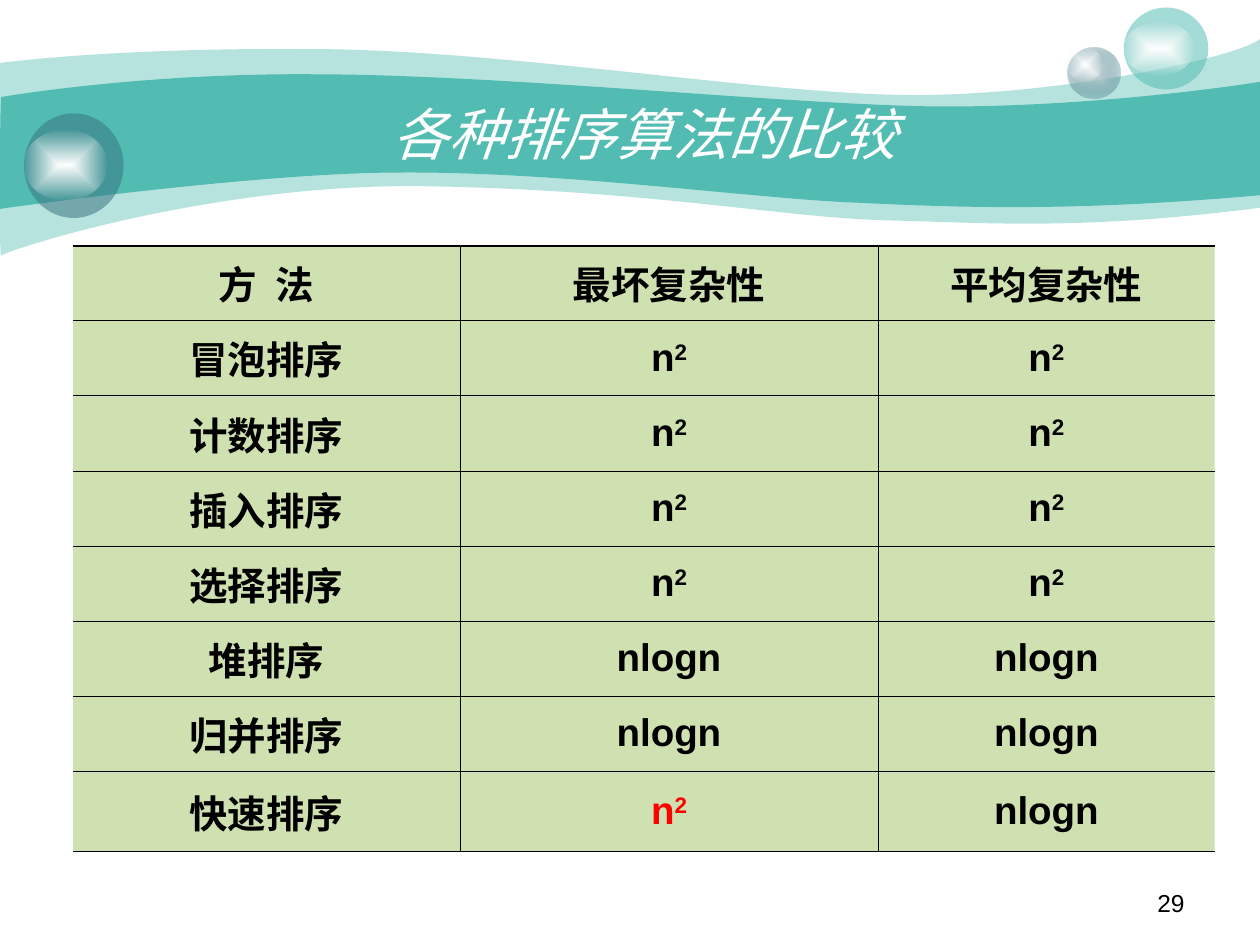
from lxml.etree import SubElement
from pptx import Presentation
from pptx.dml.color import RGBColor
from pptx.enum.shapes import MSO_SHAPE
from pptx.enum.text import MSO_ANCHOR, PP_ALIGN
from pptx.oxml.ns import qn
from pptx.util import Inches, Pt

THEME = {
    "font": "Arial", "teal": "52BCB2", "slate": "37737F", "silver": "CCDBDE",
    "white": "FFFFFF", "black": "000000", "red": "FF0000", "cell": "A0C264",
    "title": 32, "body": 22, "number": 14, "thin": 0.45, "thick": 1.08,
}


def add_fill(parent, *stops):
    kind = "a:solidFill" if len(stops) == 1 else "a:gradFill"
    fill = SubElement(parent, qn(kind))
    holders = [fill]
    if len(stops) > 1:
        stop_list = SubElement(fill, qn("a:gsLst"))
        holders = [SubElement(stop_list, qn("a:gs"), pos=pos) for pos in ("0", "100000")]
        route = SubElement(fill, qn("a:path"), path="rect")
        SubElement(route, qn("a:fillToRect"), l="50000", t="50000", r="50000", b="50000")
    for holder, (name, opacity) in zip(holders, stops):
        color = SubElement(holder, qn("a:srgbClr"), val=THEME[name])
        if opacity < 100:
            SubElement(color, qn("a:alpha"), val=str(opacity * 1000))


def add_span(para, text, size, color="black", bold=False, italic=False, **marks):
    span = para.add_run()
    span.text = text
    span.font.name = THEME["font"]
    span.font.size = Pt(THEME[size])
    span.font.bold = bold
    span.font.italic = italic
    span.font.color.rgb = RGBColor.from_string(THEME[color])
    for name, value in marks.items():
        span.font._element.set(name, value)


deck = Presentation()
deck.slide_width = Inches(10)
deck.slide_height = Inches(7.5)
page = deck.slides.add_slide(deck.slide_layouts[6])

waves = [
    (41, (0, 0.5), [
        [(0.24, 0.47), (1.07, 0.38), (2.47, 0.39)],
        [(3.86, 0.39), (5.75, 0.7), (6.99, 0.75)],
        [(8.22, 0.8), (9.8, 0.47), (10, 0.31)],
        [(10, 1.65)],
        [(8.58, 1.83), (7.87, 1.77), (7.05, 1.75)],
        [(6.22, 1.73), (5.15, 1.51), (3.43, 1.48)],
        [(1.72, 1.44), (0.04, 1.99), (0.01, 2.03)],
        [(-0.01, 2.08), (0, 0.75), (0, 0.5)],
    ]),
    (100, (0.01, 0.77), [
        [(0.02, 0.77), (1.1, 0.58), (2.48, 0.59)],
        [(3.86, 0.59), (5.95, 0.8), (7.18, 0.84)],
        [(8.41, 0.88), (9.76, 0.69), (10, 0.65)],
        [(10, 1.55)],
        [(8.53, 1.68), (7.65, 1.65), (6.82, 1.61)],
        [(5.99, 1.58), (4.47, 1.36), (3.17, 1.37)],
        [(2.03, 1.37), (-0.02, 1.66), (-0.01, 1.66)],
        [(0, 1.66), (0, 0.77), (0.01, 0.77)],
    ]),
]
for opacity, start, segments in waves:
    points = [(Inches(x), Inches(y)) for segment in segments for x, y in segment]
    builder = page.shapes.build_freeform(Inches(start[0]), Inches(start[1]))
    builder.add_line_segments(points, close=True)
    wave = builder.convert_to_shape()
    legs = iter(list(wave._element.iter(qn("a:lnTo"))))
    for segment in segments:
        group_of_legs = [next(legs) for point in segment]
        if len(segment) == 3:
            curve = group_of_legs[0]
            for leg in group_of_legs[1:]:
                curve.append(leg[0])
                leg.getparent().remove(leg)
            curve.tag = qn("a:cubicBezTo")
    add_fill(wave._element.spPr, ("teal", opacity))
    wave.line.fill.background()
    wave.shadow.inherit = False

glow = [("white", 100), ("white", 0)]
spheres = [
    [((8.47, 0.38, 0.42, 0.4), [("silver", 100), ("slate", 31)]), ((8.47, 0.38, 0.28, 0.27), glow)],
    [((8.92, 0.06, 0.67, 0.65), [("teal", 53)]), ((8.92, 0.17, 0.56, 0.43), glow)],
    [((0.19, 0.9, 0.79, 0.83), [("slate", 53)]), ((0.19, 1.03, 0.66, 0.56), glow)],
]
for sphere in spheres:
    group = page.shapes.add_group_shape()
    for place, stops in sphere:
        disc = group.shapes.add_shape(MSO_SHAPE.OVAL, *map(Inches, place))
        add_fill(disc._element.spPr, *stops)
        disc.line.fill.background()
        disc.shadow.inherit = False

labels = [
    ((7.17, 7, 2.33, 0.35), "29", PP_ALIGN.RIGHT, MSO_ANCHOR.TOP, "number", "black", False),
    ((1.08, 0.75, 8.08, 0.62), "各种排序算法的比较", PP_ALIGN.CENTER, MSO_ANCHOR.MIDDLE,
     "title", "white", True),
]
for place, text, align, anchor, size, color, italic in labels:
    box = page.shapes.add_textbox(*map(Inches, place))
    box.text_frame.word_wrap = True
    box.text_frame.vertical_anchor = anchor
    para = box.text_frame.paragraphs[0]
    para.alignment = align
    add_span(para, text, size, color, italic=italic)

square = [("n", {}), ("2", {"baseline": "30000"})]
red_square = [(text, {"color": "red", **marks}) for text, marks in square]
log = [("nlogn", {})]
rows = [
    ([("方 法", {"spc": "300"})], [("最坏复杂性", {})], [("平均复杂性", {})]),
    *[([(name, {})], square, square) for name in ("冒泡排序", "计数排序", "插入排序", "选择排序")],
    *[([(name, {})], log, log) for name in ("堆排序", "归并排序")],
    ([("快速排序", {})], red_square, log),
]
widths = [3.07, 3.32, 2.67]
height, last_height = 4.81, 0.64
last_row, last_column = len(rows) - 1, len(widths) - 1
table = page.shapes.add_table(
    len(rows), len(widths), Inches(0.58), Inches(1.95), Inches(sum(widths)), Inches(height)).table
table.first_row = False
table.horz_banding = False
for column, width in zip(table.columns, widths):
    column.width = Inches(width)
for row in table.rows:
    row.height = Inches((height - last_height) / last_row)
table.rows[last_row].height = Inches(last_height)

for r, row in enumerate(rows):
    for c, spans in enumerate(row):
        cell = table.cell(r, c)
        cell.vertical_anchor = MSO_ANCHOR.MIDDLE
        para = cell.text_frame.paragraphs[0]
        para.alignment = PP_ALIGN.CENTER
        para.space_before = Pt(5.5)
        for text, options in spans:
            add_span(para, text, "body", bold=True, **options)
        borders = {
            "a:lnL": "thin" if c > 0 else None,
            "a:lnR": "thin" if c < last_column else None,
            "a:lnT": "thin" if r > 0 else "thick",
            "a:lnB": "thin",
        }
        properties = cell._tc.get_or_add_tcPr()
        for side, weight in borders.items():
            line = SubElement(properties, qn(side))
            if weight:
                line.set("w", str(Pt(THEME[weight])))
                add_fill(line, ("black", 100))
            else:
                SubElement(line, qn("a:noFill"))
        add_fill(properties, ("cell", 50))

deck.save("out.pptx")
